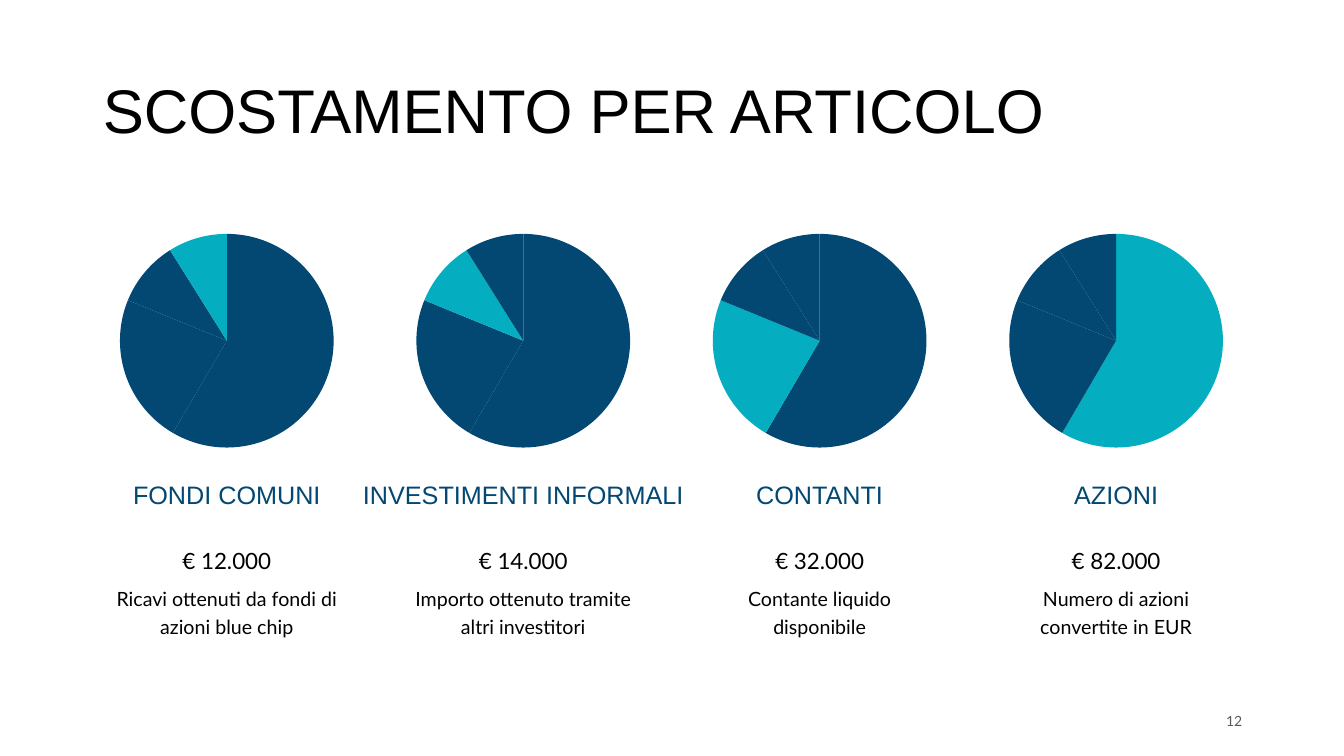
import pptx
import pptx.chart.data
import pptx.dml.color
import pptx.enum.chart
import pptx.enum.text
import pptx.oxml
import pptx.util

TITLE = "SCOSTAMENTO PER ARTICOLO"
PAGE_NUMBER = "12"
SHARES = {"1": 59, "2": 23, "3": 10, "4": 9}
# heading, heading width, amount, description, highlighted slice
ITEMS = [
    ("FONDI COMUNI", 2.5, "€ 12.000", "Ricavi ottenuti da fondi di azioni blue chip", 3),
    ("INVESTIMENTI INFORMALI", 3.57, "€ 14.000", "Importo ottenuto tramite altri investitori", 2),
    ("CONTANTI", 2.5, "€ 32.000", "Contante liquido disponibile", 1),
    ("AZIONI", 2.5, "€ 82.000", "Numero di azioni convertite in EUR", 0),
]

BLACK, NAVY, TEAL, GREY = "000000", "024873", "04ADBF", "595959"
HEADING_FONT, BODY_FONT = "Arial", "Lato"
SLIDE_WIDTH, SLIDE_HEIGHT = 13.33, 7.5
LEFT, COLUMN_WIDTH, COLUMN_STEP = 1, 2.5, 2.94
PIE_TOP, PIE_HEIGHT, PIE_DIAMETER = 2.19, 2.38, 2.12
HEADING_TOP, AMOUNT_TOP, DESCRIPTION_TOP = 4.74, 5.37, 5.73

ALIGN = pptx.enum.text.PP_ALIGN
ANCHOR = pptx.enum.text.MSO_ANCHOR


def colour(hex_value):
    return pptx.dml.color.RGBColor.from_string(hex_value)


def inches(*lengths):
    return [pptx.util.Inches(length) for length in lengths]


def write(shape, text, size, font=BODY_FONT, color=BLACK, align=ALIGN.CENTER,
          anchor=ANCHOR.TOP, spacing=None):
    frame = shape.text_frame
    frame.word_wrap = True
    frame.vertical_anchor = anchor
    paragraph = frame.paragraphs[0]
    paragraph.alignment = align
    paragraph.line_spacing = spacing
    run = paragraph.add_run()
    run.text = text
    run.font.name = font
    run.font.size = pptx.util.Pt(size)
    run.font.color.rgb = colour(color)


def add_text(slide, box, text, size, **style):
    write(slide.shapes.add_textbox(*inches(*box)), text, size, **style)


def fix_plot_area(chart, width, height):
    """Centre the plot area, given as shares of the chart's size."""
    plot_area = chart.plots[0]._element.getparent()
    for old_layout in plot_area.findall(pptx.oxml.ns.qn("c:layout")):
        plot_area.remove(old_layout)
    plot_area.insert(0, pptx.oxml.parse_xml(
        f'<c:layout {pptx.oxml.ns.nsdecls("c")}><c:manualLayout>'
        '<c:layoutTarget val="inner"/><c:xMode val="edge"/><c:yMode val="edge"/>'
        f'<c:x val="{(1 - width) / 2:.3f}"/><c:y val="{(1 - height) / 2:.3f}"/>'
        f'<c:w val="{width:.3f}"/><c:h val="{height:.3f}"/>'
        '</c:manualLayout></c:layout>'))


def add_pie(slide, left, highlighted):
    shares = pptx.chart.data.CategoryChartData()
    shares.categories = list(SHARES)
    shares.add_series("Series 1", list(SHARES.values()))
    chart = slide.shapes.add_chart(
        pptx.enum.chart.XL_CHART_TYPE.PIE,
        *inches(left, PIE_TOP, COLUMN_WIDTH, PIE_HEIGHT), shares).chart
    chart.has_title = False
    chart.has_legend = False
    chart.font.name = BODY_FONT
    chart.font.size = pptx.util.Pt(10)
    chart.font.color.rgb = colour(BLACK)
    pie = chart.plots[0]
    pie.vary_by_categories = True
    for index in range(len(SHARES)):
        slice_format = pie.series[0].points[index].format
        slice_format.fill.solid()
        slice_format.fill.fore_color.rgb = colour(TEAL if index == highlighted else NAVY)
        slice_format.line.fill.background()
    fix_plot_area(chart, PIE_DIAMETER / COLUMN_WIDTH, PIE_DIAMETER / PIE_HEIGHT)


def main():
    deck = pptx.Presentation()
    deck.slide_width, deck.slide_height = inches(SLIDE_WIDTH, SLIDE_HEIGHT)
    slide = deck.slides.add_slide(deck.slide_layouts[5])

    title = slide.shapes.title
    title.left, title.top, title.width, title.height = inches(0.92, 0.4, 11.5, 1.45)
    write(title, TITLE, 44, font=HEADING_FONT, align=ALIGN.LEFT,
          anchor=ANCHOR.MIDDLE, spacing=0.9)

    body_spacing = pptx.util.Pt(20)
    for column, (heading, heading_width, amount, description, highlighted) in enumerate(ITEMS):
        left = LEFT + column * COLUMN_STEP
        heading_left = left + (COLUMN_WIDTH - heading_width) / 2
        add_pie(slide, left, highlighted)
        add_text(slide, (heading_left, HEADING_TOP, heading_width, 0.6), heading, 18,
                 font=HEADING_FONT, color=NAVY, spacing=0.9)
        add_text(slide, (left, AMOUNT_TOP, COLUMN_WIDTH, 0.3), amount, 16,
                 spacing=body_spacing)
        add_text(slide, (left, DESCRIPTION_TOP, COLUMN_WIDTH, 0.8), description, 14,
                 spacing=body_spacing)

    add_text(slide, (9.42, 6.95, 3, 0.4), PAGE_NUMBER, 10, color=GREY,
             align=ALIGN.RIGHT, anchor=ANCHOR.MIDDLE)
    deck.save("out.pptx")


if __name__ == "__main__":
    main()
